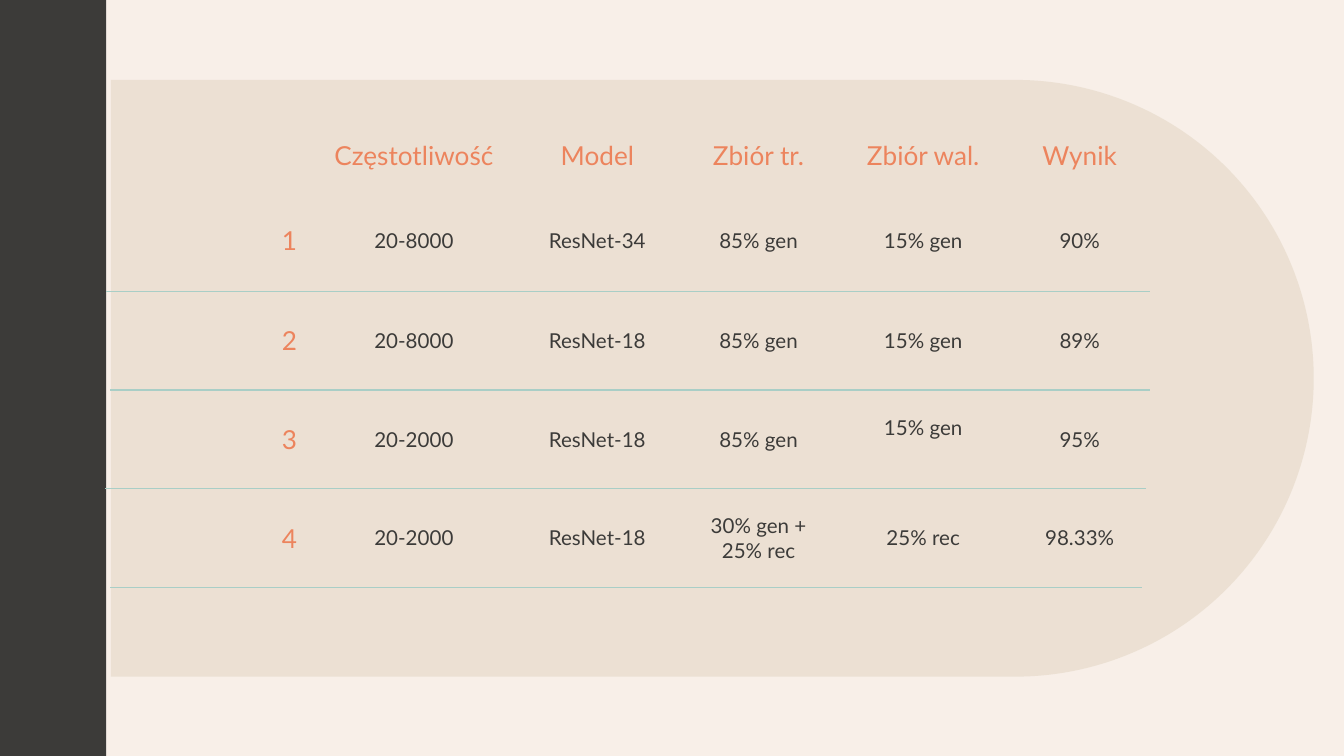
"""Build a slide with a table of model results on a rounded panel."""
from lxml import etree
from pptx import Presentation
from pptx.dml.color import RGBColor
from pptx.enum.shapes import MSO_CONNECTOR, MSO_SHAPE
from pptx.enum.text import MSO_ANCHOR, PP_ALIGN
from pptx.oxml.ns import qn
from pptx.util import Inches, Pt

STRAIGHT = MSO_CONNECTOR.STRAIGHT
RECTANGLE = MSO_SHAPE.RECTANGLE
ROUND_TOP = MSO_SHAPE.ROUND_2_SAME_RECTANGLE
MIDDLE = MSO_ANCHOR.MIDDLE
CENTER, RIGHT = PP_ALIGN.CENTER, PP_ALIGN.RIGHT

COLORS = {"background": "F8EFE8", "dark": "3C3B39", "panel": "E2D5C2",
          "accent": "EC845D", "rule": "A9CEC6"}
PANEL_OPACITY = 54
PLAIN_STYLE = "{2D5ABB26-0587-4C30-8999-92F81FD0307C}"

RESULTS = [
    ("", "Częstotliwość", "Model", "Zbiór tr.", "Zbiór wal.", "Wynik"),
    (" 1", "20-8000", "ResNet-34", "85% gen", "15% gen", "90%"),
    ("2", "20-8000", "ResNet-18", "85% gen", "15% gen", "89%"),
    ("3", "20-2000", "ResNet-18", "85% gen", "15% gen", "95%"),
    ("4", "20-2000", "ResNet-18", "30% gen + 25% rec", "25% rec", "98.33%"),
]
TABLE_LEFT, TABLE_TOP = 1.74, 0.9
COLUMN_WIDTHS = [0.57, 1.54, 1.19, 1.21, 1.24, 1.09]
ROW_STEP = 2.2 / 3
ROW_HEIGHTS = [0.51, 0.76] + [ROW_STEP] * 3
MARGIN = 0.1
RAISED_CELL, RAISED_MARGIN = (3, 4), 0.28
RULE_ENDS = [(0.79, 8.56), (0.82, 8.56), (0.78, 8.53), (0.82, 8.5)]


def color(name):
    return RGBColor.from_string(COLORS[name])


def add_block(page, kind, box, fill):
    block = page.shapes.add_shape(kind, *map(Inches, box))
    block.shadow.inherit = False
    block.fill.solid()
    block.fill.fore_color.rgb = color(fill)
    block.line.fill.background()
    return block


def add_panel(page):
    panel = add_block(page, ROUND_TOP, (3.08, -1.66, 4.44, 8.95), "panel")
    panel.rotation = 90
    panel.adjustments[0], panel.adjustments[1] = 0.5, 0
    tint = panel.fill._xPr.find(qn("a:solidFill"))[0]
    etree.SubElement(tint, qn("a:alpha"), val=str(PANEL_OPACITY * 1000))


def fill_cell(cell, text, row, column):
    bottom = RAISED_MARGIN if (row, column) == RAISED_CELL else MARGIN
    heading = row == 0 or column == 0
    cell_format = {"vertical_anchor": MIDDLE, "margin_left": Inches(MARGIN),
                   "margin_right": Inches(MARGIN), "margin_top": Inches(MARGIN),
                   "margin_bottom": Inches(bottom)}
    for name, value in cell_format.items():
        setattr(cell, name, value)
    cell.fill.background()
    para = cell.text_frame.paragraphs[0]
    para.alignment = RIGHT if column == 0 else CENTER
    if text:
        span = para.add_run()
        span.text = text
        font_format = {"name": "Lato", "size": Pt(14 if heading else 11), "bold": False}
        for name, value in font_format.items():
            setattr(span.font, name, value)
        span.font.color.rgb = color("accent" if heading else "dark")


def add_results(page):
    box = map(Inches, (TABLE_LEFT, TABLE_TOP, sum(COLUMN_WIDTHS), sum(ROW_HEIGHTS)))
    table = page.shapes.add_table(len(RESULTS), len(COLUMN_WIDTHS), *box).table
    table.first_row = table.horz_banding = False
    table._tbl.tblPr.find(qn("a:tableStyleId")).text = PLAIN_STYLE
    for column, width in zip(table.columns, COLUMN_WIDTHS):
        column.width = Inches(width)
    for row, height in zip(table.rows, ROW_HEIGHTS):
        row.height = Inches(height)
    for row, texts in enumerate(RESULTS):
        for column, text in enumerate(texts):
            fill_cell(table.cell(row, column), text, row, column)


def add_rules(page):
    for row, (start, end) in enumerate(RULE_ENDS, 1):
        y = TABLE_TOP + sum(ROW_HEIGHTS[:row + 1])
        rule = page.shapes.add_connector(STRAIGHT, *map(Inches, (start, y, end, y)))
        rule.line.color.rgb = color("rule")
        rule.line.width = Pt(0.75)
        etree.SubElement(rule._element.spPr, qn("a:effectLst"))


def main():
    deck = Presentation()
    deck.slide_width = Inches(10)
    deck.slide_height = deck.slide_width * 9 // 16
    page = deck.slides.add_slide(deck.slide_layouts[6])
    page.background.fill.solid()
    page.background.fill.fore_color.rgb = color("background")
    add_block(page, RECTANGLE, (-0.01, -0.01, 0.8, 5.68), "dark")
    add_panel(page)
    add_results(page)
    add_rules(page)
    deck.save("out.pptx")


if __name__ == "__main__":
    main()
